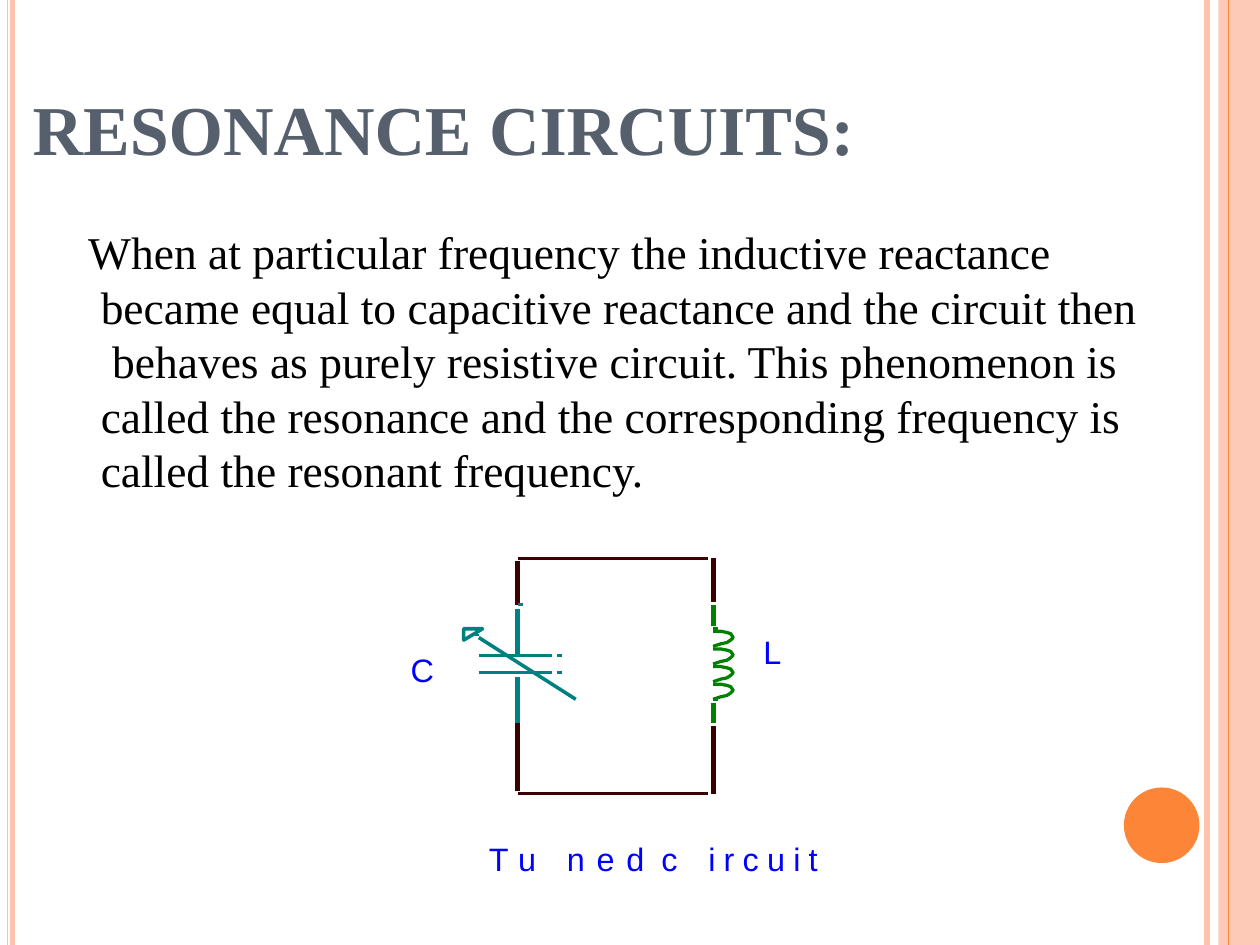
from lxml import etree
from pptx import Presentation
from pptx import util as u
from pptx.dml.color import RGBColor
from pptx.enum import shapes, text
from pptx.oxml import ns

PEACH = RGBColor(0xFD, 0xC3, 0xAD)
ORANGE = RGBColor(0xFD, 0x85, 0x37)
SLATE = RGBColor(0x56, 0x5F, 0x6C)
BLACK = RGBColor(0, 0, 0)
BLUE = RGBColor(0, 0, 0xFF)
TEAL = RGBColor(0, 0x80, 0x80)
GREEN = RGBColor(0, 0x80, 0)
MAROON = RGBColor(0x3B, 0, 0)
COLUMNS, ROWS = 100, 75
SERIF, SANS = "Times New Roman", "Arial"
THICK, THIN = 2.82, 1.69


class Board:
    def __init__(self, presentation):
        self.slide = presentation.slides.add_slide(presentation.slide_layouts[5])
        self.shapes = self.slide.shapes
        self.column = presentation.slide_width / COLUMNS
        self.row = presentation.slide_height / ROWS

    def box(self, left, top, width, height):
        return (round(left * self.column), round(top * self.row),
                round(width * self.column), round(height * self.row))

    def line(self, start, end, color, width):
        connector = self.shapes.add_connector(
            shapes.MSO_CONNECTOR.STRAIGHT, *self.box(*start, *end))
        connector.line.color.rgb = color
        connector.line.width = u.Pt(width)
        etree.SubElement(connector._element.spPr, ns.qn("a:effectLst"))

    def block(self, preset, place, color, opacity=100):
        shape = self.shapes.add_shape(preset, *self.box(*place))
        shape.shadow.inherit = False
        shape.line.fill.background()
        shape.fill.solid()
        shape.fill.fore_color.rgb = color
        if opacity < 100:
            tone = shape._element.spPr.find(".//" + ns.qn("a:srgbClr"))
            etree.SubElement(tone, ns.qn("a:alpha"), val=str(opacity * 1000))

    def outline(self, points, color, width, close=False):
        corners = [(x * self.column, y * self.row) for x, y in points]
        builder = self.shapes.build_freeform(*corners[0])
        builder.add_line_segments(corners[1:], close=close)
        shape = builder.convert_to_shape()
        shape.shadow.inherit = False
        shape.fill.background()
        shape.line.color.rgb = color
        shape.line.width = u.Pt(width)

    def set_text(self, shape, place, words, font, size, color, bold=False, before=1.1):
        shape.left, shape.top, shape.width, shape.height = self.box(*place)
        frame = shape.text_frame
        frame.word_wrap = True
        frame.auto_size = text.MSO_AUTO_SIZE.NONE
        frame.vertical_anchor = text.MSO_ANCHOR.TOP
        frame.margin_left = frame.margin_right = frame.margin_bottom = 0
        frame.margin_top = u.Inches(0.01)
        frame.text = words
        paragraph = frame.paragraphs[0]
        paragraph.alignment = text.PP_ALIGN.LEFT
        paragraph.space_before = u.Pt(before)
        paragraph.font.name = font
        paragraph.font.size = u.Pt(size)
        paragraph.font.bold = bold
        paragraph.font.color.rgb = color
        return paragraph

    def title(self, place, words):
        self.set_text(self.shapes.title, place, words, SERIF, 40, SLATE, True, 0.9)

    def label(self, place, words, font=SANS, size=18.5, color=BLUE):
        shape = self.shapes.add_textbox(*self.box(*place))
        return self.set_text(shape, place, words, font, size, color)

    def indent(self, paragraph, left, first):
        properties = paragraph._p.get_or_add_pPr()
        properties.set("marL", str(round(left * self.column)))
        properties.set("indent", str(round(first * self.column)))

    def tab(self, paragraph, position):
        stops = etree.Element(ns.qn("a:tabLst"))
        etree.SubElement(stops, ns.qn("a:tab"),
                         pos=str(round(position * self.column)), algn="l")
        paragraph._p.pPr.find(ns.qn("a:defRPr")).addprevious(stops)

    def spaced(self, paragraph, parts):
        for words, spacing in parts:
            run = paragraph.add_run()
            run.text = words
            run._r.get_or_add_rPr().set("spc", str(round(spacing * 100)))


presentation = Presentation()
presentation.slide_width, presentation.slide_height = u.Inches(10), u.Inches(7.5)
board = Board(presentation)

for x, width in ((95.8, 3), (1, 2.74), (0.6, 0.91)):
    board.line((x, 0), (x, ROWS), PEACH, width)
board.block(shapes.MSO_SHAPE.RECTANGLE, (96.7, 0, 3.3, ROWS), PEACH, 87)
board.line((97.5, 0), (97.5, ROWS), ORANGE, 0.72)
board.block(shapes.MSO_SHAPE.OVAL, (89.2, 62.5, 6, 6), ORANGE)

board.title((2.6, 6.7, 70, 6.9), "RESONANCE CIRCUITS:")
definition = board.label(
    (6.9, 17.7, 86, 22),
    "When at particular frequency the inductive reactance\v"
    "became equal to capacitive reactance and the circuit then\v"
    " behaves as purely resistive circuit. This phenomenon is\v"
    "called the resonance and the corresponding frequency is\v"
    "called the resonant frequency.",
    SERIF, 26, BLACK)
board.indent(definition, 1.1, -1)

LEFT, RIGHT, TOP, BOTTOM = 41.1, 56.6, 44.3, 63
for y in (TOP, BOTTOM):
    board.line((LEFT, y), (56.2, y), MAROON, THIN)
for x, top, bottom, color in (
        (LEFT, 44.5, 48, MAROON), (LEFT, 48.3, 52, TEAL),
        (LEFT, 53.7, 57.4, TEAL), (LEFT, 57.4, 62.8, MAROON),
        (RIGHT, TOP, 47.8, MAROON), (RIGHT, 48, 49.7, GREEN),
        (RIGHT, 55.8, 57.4, GREEN), (RIGHT, 57.6, BOTTOM, MAROON)):
    board.line((x, top), (x, bottom), color, THICK)

for y in (52, 53.4):
    board.line((38, y), (43.8, y), TEAL, THIN)
for x, y, color in ((44.2, 52, TEAL), (44.2, 53.4, TEAL), (LEFT, 48, TEAL),
                    (37.6, 50.4, TEAL), (RIGHT, 49.9, GREEN), (RIGHT, 55.5, GREEN)):
    board.line((x, y), (x + 0.4, y), color, THIN)
board.line((45.7, 55.5), (38, 50.6), TEAL, 2)
board.outline([(36.8, 49.9), (36.8, 50.8), (38.3, 49.9)], TEAL, 2, close=True)

COIL_TURN = ((0, -0.5), (0.6, -0.5), (1.1, -0.4), (1.4, -0.3), (1.6, 0),
             (1.4, 0.2), (1.1, 0.4), (0.6, 0.5), (0, 0.7))
for turn in range(4):
    middle = 50.6 + 1.4 * turn
    board.outline([(RIGHT + x, middle + y) for x, y in COIL_TURN], GREEN, 1.85)

board.label((32.6, 51.5, 3.4, 3.4), "C")
board.label((60.6, 50.1, 2.7, 3.4), "L")
caption = board.label((38.8, 66.5, 28, 3.4), "")
board.tab(caption, 13.7)
board.spaced(caption, (("Tu ", 6.2), ("ned\t", 6.7), ("c ", 6.2), ("ircuit", 4.7)))

presentation.save("out.pptx")
